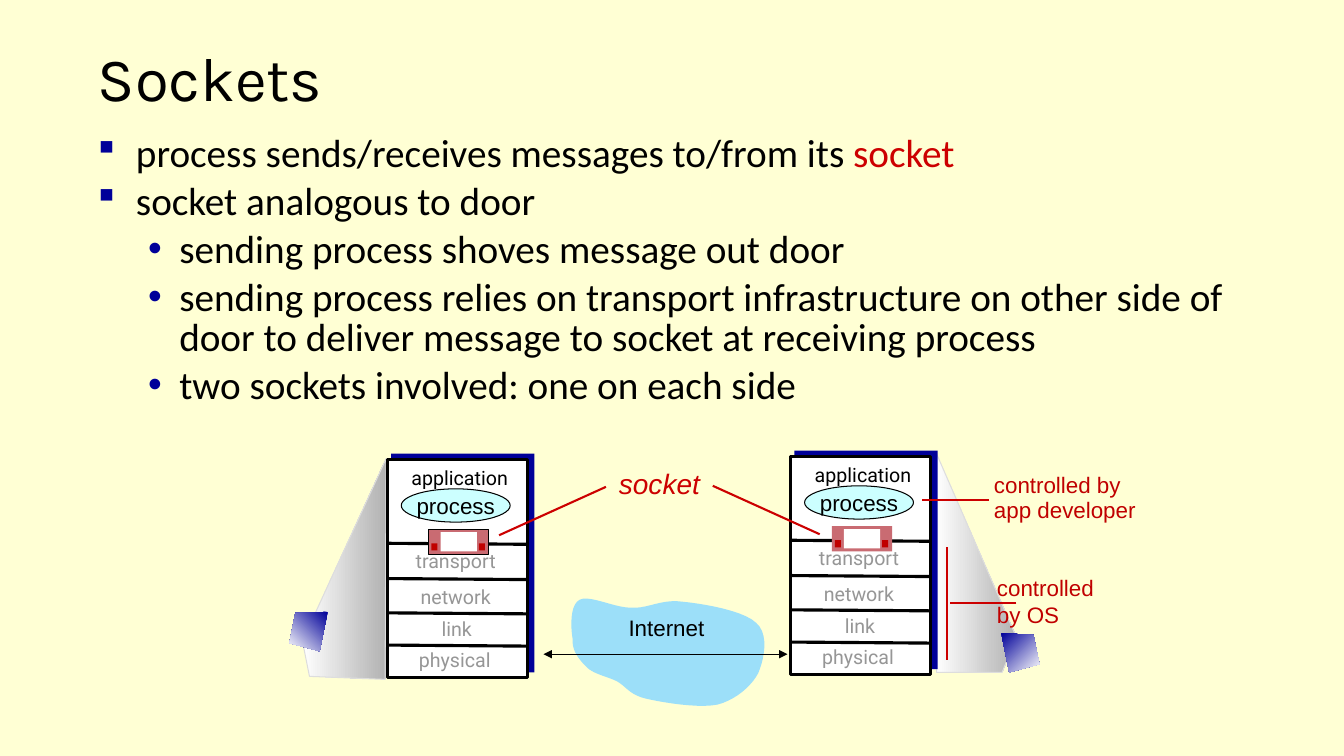
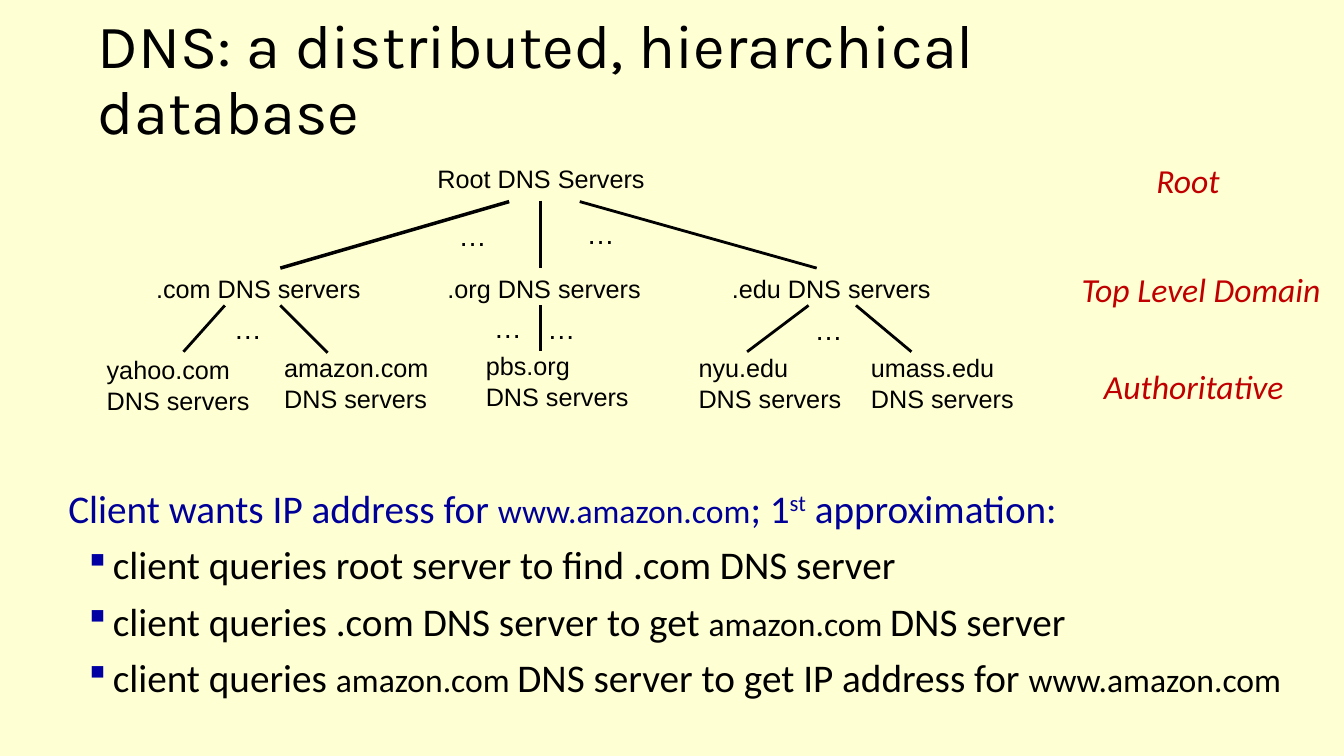
from lxml.etree import SubElement
from pptx import Presentation
from pptx.dml.color import RGBColor
from pptx.enum.shapes import MSO_CONNECTOR, MSO_SHAPE
from pptx.enum.text import MSO_ANCHOR, MSO_AUTO_SIZE, PP_ALIGN
from pptx.oxml.ns import qn
from pptx.util import Inches, Pt

HUES = {
    "page": "FFFFD4", "ink": "000000", "white": "FFFFFF", "navy": "000099",
    "mark": "0000A3", "red": "CC0000", "brick": "C00000", "grey": "969696",
    "shade": "B2B2B2", "edge": "DDDDDD", "cloud": "9CDFF9", "oval": "CCFFFF",
    "door": "C96B72",
}

POINTS = [
    (0, [("process sends/receives messages to/from its ", "ink"), ("socket", "red")]),
    (0, [("socket analogous to door", "ink")]),
    (1, [("sending process shoves message out door", "ink")]),
    (1, [("sending process relies on transport infrastructure on other side of "
          "door to deliver message to socket at receiving process", "ink")]),
    (1, [("two sockets involved: one on each side", "ink")]),
]
SQUARE = ("§", "Wingdings")
ROUND = ("•", "Arial")
LEVELS = [(SQUARE, 0.38, -0.38), (ROUND, 0.81, -0.31)]

LAYERS = [("application", 0, -0.01, "ink"), ("transport", -0.04, 0.81, "grey"),
          ("network", -0.04, 1.17, "grey"), ("link", -0.03, 1.49, "grey"),
          ("physical", -0.05, 1.8, "grey")]
RULES = [0.83, 1.18, 1.52, 1.84]
STACKS = [(3.84, 4.56, "ink"), (7.84, 4.53, None)]
DOOR = [(0, 0, 0.6, 0.25, "door"), (0.12, 0.03, 0.36, 0.19, "white"),
        (0.5, 0.14, 0.06, 0.07, "brick"), (0.03, 0.14, 0.06, 0.07, "brick")]
BEAMS = [[(10.08, 6.32), (9.28, 4.48), (9.29, 6.67), (9.94, 6.67)],
         [(3, 6.36), (3.83, 4.55), (3.82, 6.74), (3.07, 6.71)]]
HOSTS = [([(3.25, 6.07), (2.93, 6.08), (2.87, 6.38), (3.17, 6.46)], 225),
         ([(9.93, 6.28), (10.25, 6.3), (10.31, 6.59), (10.01, 6.67)], 315)]
CLOUD = [(5.68, 6.34), (5.66, 6.23), (5.65, 6), (5.75, 5.95), (5.85, 5.9),
         (6.09, 6.03), (6.26, 6.03), (6.43, 6.04), (6.56, 5.94), (6.77, 5.97),
         (6.98, 5.99), (7.38, 6.06), (7.5, 6.18), (7.63, 6.29), (7.58, 6.54),
         (7.52, 6.68), (7.45, 6.81), (7.3, 6.94), (7.12, 6.99), (6.93, 7.03),
         (6.57, 6.97), (6.4, 6.93), (6.24, 6.89), (6.21, 6.81), (6.12, 6.76),
         (6.02, 6.71), (5.89, 6.69), (5.82, 6.62), (5.75, 6.55), (5.67, 6.46),
         (5.68, 6.34)]
CALLS = [(9.81, 4.96, 9.14, 4.96), (9.39, 5.43, 9.39, 6.55), (10.08, 5.98, 9.42, 5.98),
         (4.95, 5.31, 6.01, 4.83), (8.13, 5.3, 7.07, 4.82)]

SERVERS = [("Root DNS Servers", 4.24, 1.57, 2.26), (".com DNS servers", 1.45, 2.66, 2.25),
           (".org DNS servers", 4.34, 2.66, 2.14), (".edu DNS servers", 7.16, 2.66, 2.19)]
LEAVES = [("yahoo.com", 0.96, 3.47), ("amazon.com", 2.72, 3.45), ("pbs.org", 4.72, 3.43),
          ("nyu.edu", 6.83, 3.45), ("umass.edu", 8.54, 3.45)]
TIERS = [("Root", 11.37, 1.54, 0.84), ("Top Level Domain", 10.63, 2.62, 2.61),
         ("Authoritative", 10.85, 3.58, 2.01)]
LINKS = [(5.05, 2, 2.78, 2.66, 2.5), (5.36, 1.99, 5.36, 2.66, 2), (5.75, 2, 8.1, 2.66, 2),
         (8.02, 3.03, 7.41, 3.49, 2), (8.49, 3.03, 9.04, 3.49, 2),
         (2.23, 3.03, 1.82, 3.49, 2), (2.78, 3.03, 3.25, 3.5, 2),
         (5.36, 3.03, 5.36, 3.48, 2)]
DOTS = [(4.45, 2.12), (5.72, 2.1), (7.98, 3.05), (2.22, 3.04), (4.8, 3.03), (5.33, 3.04)]
SITE = "www.amazon.com"
STEPS = [
    [("Client wants IP address for ", 28), (SITE, 24), ("; 1", 28), ("st", 28),
     (" approximation:", 28)],
    [("client queries root server to find .com DNS server", 28)],
    [("client queries .com DNS server to get ", 28), ("amazon.com ", 24), ("DNS server", 28)],
    [("client queries ", 28), ("amazon.com ", 24),
     ("DNS server to get IP address for ", 28), (SITE, 24)],
]


def rgb(hue):
    return RGBColor.from_string(HUES[hue])


def style(font, size, face, hue, slant=False):
    font.size = Pt(size)
    font.name = face
    font.color.rgb = rgb(hue)
    if slant:
        font.italic = True


def paint(shape, fill=None, line=None, width=0.75):
    shape.shadow.inherit = False
    if fill:
        shape.fill.solid()
        shape.fill.fore_color.rgb = rgb(fill)
    if line:
        shape.line.color.rgb = rgb(line)
        shape.line.width = Pt(width)
    else:
        shape.line.fill.background()


def block(slide, x, y, w, h, fill, line=None, width=0.75, kind=MSO_SHAPE.RECTANGLE):
    shape = slide.shapes.add_shape(kind, Inches(x), Inches(y), Inches(w), Inches(h))
    paint(shape, fill, line, width)
    return shape


def outline(slide, dots):
    dots = [(Inches(x), Inches(y)) for x, y in dots]
    pen = slide.shapes.build_freeform(*dots[0], scale=1.0)
    pen.add_line_segments(dots[1:], close=True)
    return pen.convert_to_shape()


def fade(slide, dots, angle, first, last, line=None):
    shape = outline(slide, dots)
    paint(shape, line=line)
    shape.fill.gradient()
    shape.fill.gradient_angle = angle
    for stop, hue in zip(shape.fill.gradient_stops, (first, last)):
        stop.color.rgb = rgb(hue)


def curve(nodes, count=10):
    dots = [nodes[0]]
    for i in range(0, len(nodes) - 1, 3):
        a, b, c, d = nodes[i:i + 4]
        for k in range(1, count + 1):
            t = k / count
            u = 1 - t
            dots.append(tuple(u**3 * a[j] + 3 * u * u * t * b[j] + 3 * u * t * t * c[j]
                              + t**3 * d[j] for j in (0, 1)))
    return dots


def rule(slide, x1, y1, x2, y2, hue="ink", width=2.25, heads=False):
    line = slide.shapes.add_connector(MSO_CONNECTOR.STRAIGHT, Inches(x1), Inches(y1),
                                      Inches(x2), Inches(y2))
    line.line.color.rgb = rgb(hue)
    line.line.width = Pt(width)
    props = line._element.spPr
    if heads:
        for tag in ("a:headEnd", "a:tailEnd"):
            SubElement(props.find(qn("a:ln")), qn(tag), type="triangle")
    SubElement(props, qn("a:effectLst"))


def label(slide, text, x, y, w, h, size, hue="ink", face="Arial", slant=False,
          align=PP_ALIGN.LEFT, gap=1.0):
    box = slide.shapes.add_textbox(Inches(x), Inches(y), Inches(w), Inches(h))
    frame = box.text_frame
    frame.text = text
    frame.word_wrap = True
    frame.auto_size = MSO_AUTO_SIZE.SHAPE_TO_FIT_TEXT
    for para in frame.paragraphs:
        para.alignment = align
        para.line_spacing = gap
        for run in para.runs:
            style(run.font, size, face, hue, slant)


def bullet(para, sign, left, hang, hue):
    props = para._p.get_or_add_pPr()
    props.set("marL", str(Inches(left)))
    props.set("indent", str(Inches(hang)))
    if sign:
        char, face = sign
        SubElement(SubElement(props, qn("a:buClr")), qn("a:srgbClr"), val=HUES[hue])
        SubElement(props, qn("a:buFont"), typeface=face)
        SubElement(props, qn("a:buChar"), char=char)


def body(slide, x, y, w, h, items, gap, before):
    box = slide.shapes.add_textbox(Inches(x), Inches(y), Inches(w), Inches(h))
    frame = box.text_frame
    frame.word_wrap = True
    for i, (mark, parts) in enumerate(items):
        para = frame.add_paragraph() if i else frame.paragraphs[0]
        bullet(para, *mark)
        para.line_spacing = gap
        para.space_before = Pt(before if i else 0)
        for text, size, hue in parts:
            run = para.add_run()
            run.text = text
            style(run.font, size, "Calibri", hue)
            if text == "st":
                run.font._element.set("baseline", "30000")


def page(deck, text):
    slide = deck.slides.add_slide(deck.slide_layouts[5])
    title = slide.shapes.title
    title.left, title.top = Inches(0.87), Inches(0.32)
    title.width, title.height = Inches(11.5), Inches(0.98)
    frame = title.text_frame
    frame.text = text
    frame.word_wrap = True
    frame.auto_size = MSO_AUTO_SIZE.NONE
    frame.vertical_anchor = MSO_ANCHOR.MIDDLE
    para = frame.paragraphs[0]
    para.alignment = PP_ALIGN.LEFT
    para.line_spacing = 0.9
    style(para.runs[0].font, 44, "Karla", "ink")
    return slide


def stack(slide, x, y, edge):
    block(slide, x + 0.04, y - 0.06, 1.42, 2.17, "navy")
    block(slide, x, y, 1.39, 2.16, "white", "ink", 2.25)
    for dy in RULES:
        rule(slide, x, y + dy, x + 1.39, y + dy + 0.01)
    for text, dx, dy, hue in LAYERS:
        label(slide, text, x + dx, y + dy, 1.44, 0.36, 14, hue, "Roboto",
              align=PP_ALIGN.CENTER, gap=1.1)
    oval = block(slide, x + 0.14, y + 0.29, 1.08, 0.33, "oval", "ink", kind=MSO_SHAPE.OVAL)
    frame = oval.text_frame
    frame.text = "process"
    frame.word_wrap = False
    frame.vertical_anchor = MSO_ANCHOR.MIDDLE
    frame.paragraphs[0].alignment = PP_ALIGN.CENTER
    style(frame.paragraphs[0].runs[0].font, 16, "Arial", "ink")
    for dx, dy, w, h, hue in DOOR:
        block(slide, x + 0.41 + dx, y + 0.69 + dy, w, h, hue, edge if hue == "door" else None)


def sockets(deck):
    slide = page(deck, "Sockets")
    items = [((*LEVELS[level], "navy"), [(text, 28, hue) for text, hue in parts])
             for level, parts in POINTS]
    body(slide, 0.87, 1.3, 11.99, 2.55, items, 0.85, 5.6)
    for dots in BEAMS:
        fade(slide, dots, 0, "white", "shade", "edge")
    paint(outline(slide, curve(CLOUD)), "cloud")
    label(slide, "Internet", 6.06, 6.04, 1.1, 0.37, 16, align=PP_ALIGN.CENTER)
    rule(slide, 5.39, 6.49, 7.81, 6.49, width=0.75, heads=True)
    label(slide, "controlled\nby OS", 9.79, 5.65, 1.3, 0.9, 16, "brick")
    label(slide, "controlled by\napp developer", 9.76, 4.66, 1.8, 0.58, 16, "brick", gap=0.9)
    for x, y, edge in STACKS:
        stack(slide, x, y, edge)
    for ends in CALLS:
        rule(slide, *ends, "red", 1.5)
    label(slide, "socket", 6.04, 4.62, 1.2, 0.4, 20, "red", slant=True, gap=0.9)
    for dots, angle in HOSTS:
        fade(slide, dots, angle, "navy", "white")


def names(deck):
    slide = page(deck, "DNS: a distributed, hierarchical database")
    items = []
    for i, parts in enumerate(STEPS):
        mark = (SQUARE, 0.5, -0.24, "mark") if i else (None, 0.06, 0, None)
        items.append((mark, [(text, size, "ink" if i else "navy") for text, size in parts]))
    body(slide, 0.52, 4.81, 12.81, 2.33, items, 0.9, 10)
    for text, x, y, w in SERVERS:
        label(slide, text, x, y, w + 0.1, 0.4, 18)
    for text, x, y in LEAVES:
        label(slide, text + "\nDNS servers", x, y, 1.8, 0.7, 18)
    for *ends, width in LINKS:
        rule(slide, *ends, width=width)
    for x, y in DOTS:
        label(slide, "…", x, y, 0.48, 0.43, 20)
    for text, x, y, w in TIERS:
        label(slide, text, x, y, w + 0.09, 0.5, 24, "brick", "Calibri", True)


def main():
    deck = Presentation()
    deck.slide_width, deck.slide_height = Inches(13.33), Inches(7.5)
    fill = deck.slide_master.background.fill
    fill.solid()
    fill.fore_color.rgb = rgb("page")
    sockets(deck)
    names(deck)
    deck.save("out.pptx")


if __name__ == "__main__":
    main()
